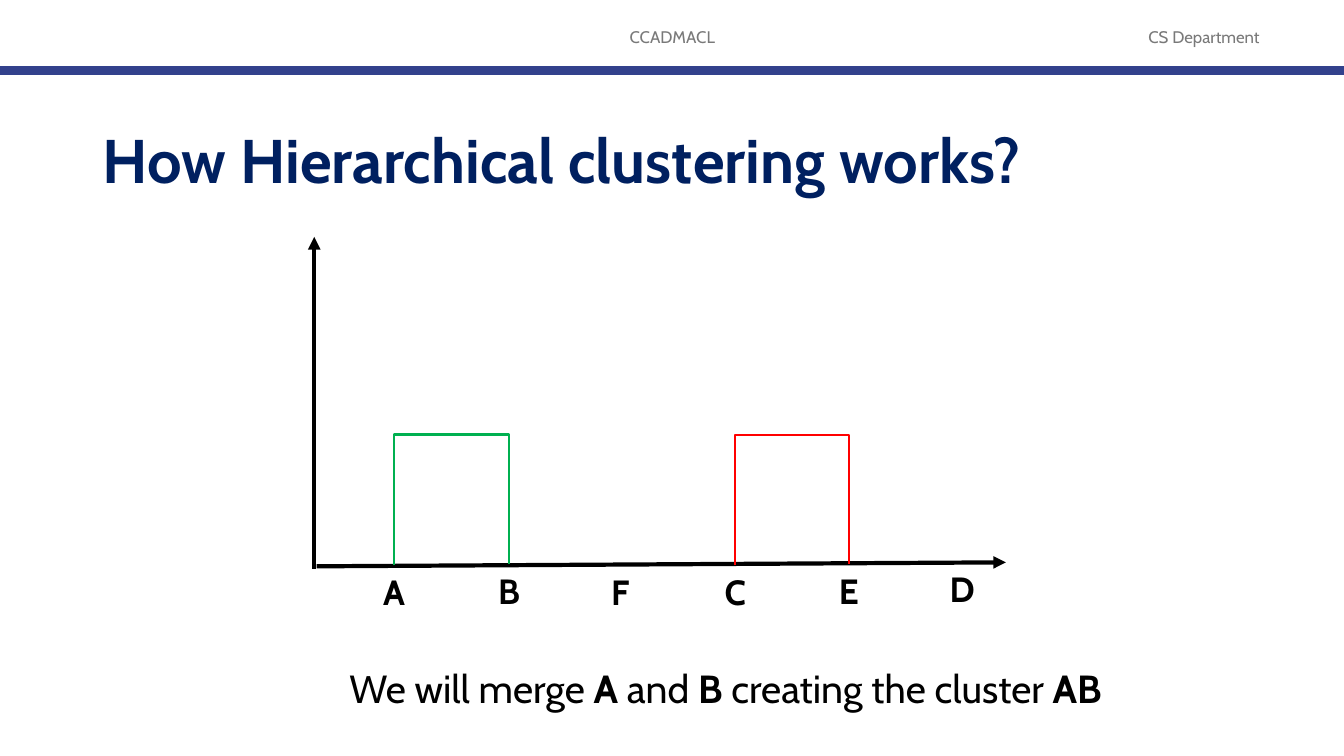
from dataclasses import dataclass

from lxml.etree import SubElement
from pptx import Presentation
from pptx.dml.color import RGBColor
from pptx.enum.shapes import MSO_CONNECTOR as Connector
from pptx.enum.text import MSO_ANCHOR as Anchor, PP_ALIGN as Align
from pptx.oxml.ns import qn
from pptx.util import Cm, Pt

FONT = "Cabin"
BLACK = "000000"


@dataclass(frozen=True)
class Leaf:
    name: str
    center: float
    top: float


@dataclass(frozen=True)
class Merge:
    first: Leaf
    second: Leaf
    height: float
    color: str


def rgb(value: str) -> RGBColor:
    return RGBColor.from_string(value)


def add_text(page, spans, left, top, width, height, *, size, color=BLACK,
             bold=False, align=Align.LEFT, anchor=Anchor.TOP, wrap=True,
             line_spacing=None, space_before=0) -> None:
    """Add one paragraph; spans is a string or a list of (text, bold) pairs."""
    box = page.shapes.add_textbox(Cm(left), Cm(top), Cm(width), Cm(height))
    frame = box.text_frame
    frame.word_wrap = wrap
    frame.vertical_anchor = anchor
    para = frame.paragraphs[0]
    para.alignment = align
    para.line_spacing = line_spacing
    para.space_before = Pt(space_before)
    for text, strong in [(spans, bold)] if isinstance(spans, str) else spans:
        span = para.add_run()
        span.text = text
        span.font.name = FONT
        span.font.size = Pt(size)
        span.font.bold = strong
        span.font.color.rgb = rgb(color)


def add_line(page, start, end, *, color=BLACK, width=3.0, arrow=False) -> None:
    line = page.shapes.add_connector(
        Connector.STRAIGHT, *(Cm(value) for value in (*start, *end)))
    line.line.color.rgb = rgb(color)
    line.line.width = Pt(width)
    if arrow:
        SubElement(line.line._get_or_add_ln(), qn("a:tailEnd"), type="triangle")
    SubElement(line._element.spPr, qn("a:effectLst"))


def add_merge(page, merge: Merge) -> None:
    """Draw the open bracket that joins two leaves."""
    left, right = merge.first, merge.second
    corners = [(left.center, merge.height), (right.center, merge.height),
               (right.center, right.top)]
    builder = page.shapes.build_freeform(Cm(left.center), Cm(left.top))
    builder.add_line_segments([(Cm(x), Cm(y)) for x, y in corners], close=False)
    bracket = builder.convert_to_shape()
    bracket.shadow.inherit = False
    bracket.fill.background()
    bracket.line.color.rgb = rgb(merge.color)
    bracket.line.width = Pt(1.5)


def add_leaf(page, leaf: Leaf) -> None:
    width = 1.08
    add_text(page, leaf.name, leaf.center - width / 2, leaf.top, width, 1.32,
             size=25, bold=True, align=Align.CENTER, wrap=False)


def add_header(page) -> None:
    for text, left, width in (("CCADMACL", 11.23, 11.43),
                              ("CS Department", 27.74, 5.21)):
        add_text(page, text, left, 0.43, width, 1.02, size=12, color="797979",
                 align=Align.CENTER, anchor=Anchor.MIDDLE)
    add_line(page, (0, 1.78), (33.87, 1.78), color="32418C", width=6)


def add_dendrogram(page) -> None:
    leaves = [Leaf("A", 9.93, 14.25), Leaf("B", 12.83, 14.22),
              Leaf("F", 15.63, 14.25), Leaf("C", 18.53, 14.25),
              Leaf("E", 21.39, 14.22), Leaf("D", 24.22, 14.17)]
    by_name = {leaf.name: leaf for leaf in leaves}
    merges = [Merge(by_name["A"], by_name["B"], 10.95, "00B050"),
              Merge(by_name["C"], by_name["E"], 10.97, "FF0000")]
    add_line(page, (7.98, 14.27), (25.35, 14.17), arrow=True)
    add_line(page, (7.92, 14.33), (7.92, 5.97), arrow=True)
    for merge in merges:
        add_merge(page, merge)
    for leaf in leaves:
        add_leaf(page, leaf)


def main() -> None:
    deck = Presentation()
    deck.slide_width, deck.slide_height = Cm(33.87), Cm(19.05)
    page = deck.slides.add_slide(deck.slide_layouts[6])
    add_header(page)
    add_text(page, "How Hierarchical clustering works?", 2.34, 2.29, 29.21, 3.68,
             size=44, color="002060", bold=True, anchor=Anchor.MIDDLE,
             line_spacing=0.9)
    add_dendrogram(page)
    add_text(page, [("We will merge ", False), ("A", True), (" and ", False),
                    ("B", True), (" creating the cluster ", False), ("AB", True)],
             3.68, 16.76, 29.21, 1.85, size=28, align=Align.CENTER,
             line_spacing=0.9, space_before=10)
    deck.save("out.pptx")


if __name__ == "__main__":
    main()
